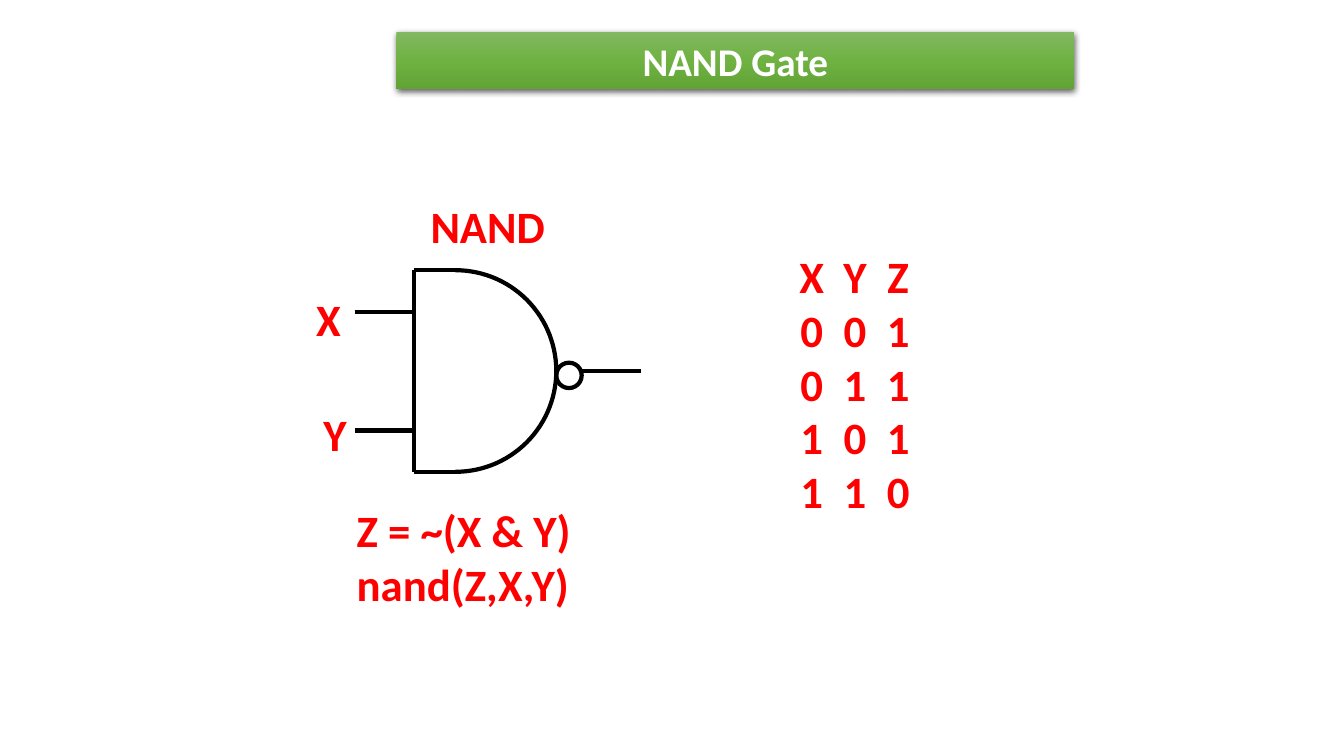
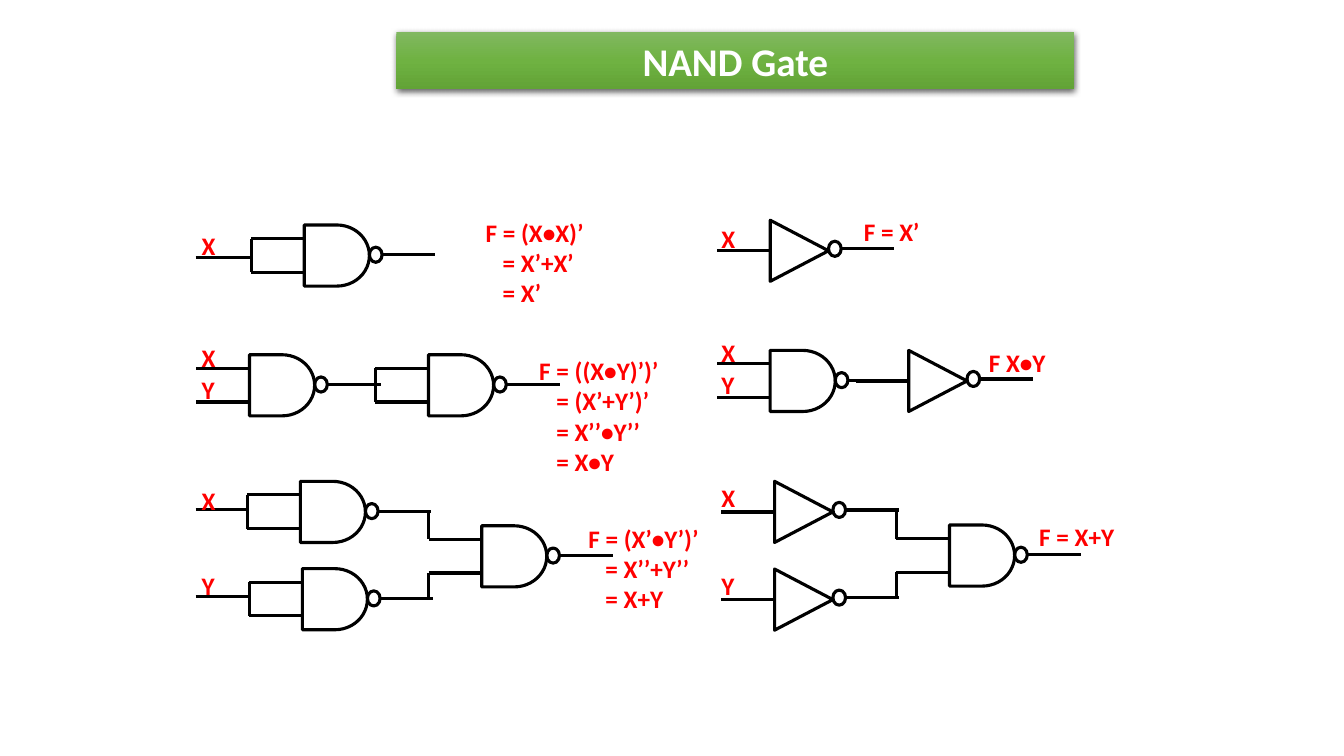
"""Builds two slides on the NAND gate and the circuits made from it."""
import math
from copy import deepcopy
from dataclasses import dataclass

from lxml import etree
from pptx import Presentation
from pptx import util as u
from pptx.dml.color import RGBColor
from pptx.enum import shapes, text
from pptx.oxml import ns


@dataclass(frozen=True)
class Theme:
    """Colours, type sizes and line weights."""
    font: str = "Calibri"
    accent: str = "FF0000"
    ink: str = "000000"
    light: str = "FFFFFF"
    band: tuple = ("81B861", "6FB242", "62A336")
    title: int = 28
    large: int = 32
    small: int = 18
    bold_line: float = 3
    line: float = 2.25
    tie_line: float = 2


@dataclass(frozen=True)
class Part:
    """Measures of the small circuit symbols in centimetres."""
    width: float = 1.64
    height: float = 1.54
    lead: float = 1.34
    pins: tuple = (0.34, 1.19)
    middle: float = 0.75
    triangle: float = 1.47
    triangle_entry: float = 0.77
    triangle_exit: float = 0.72
    bubble_width: float = 0.32
    bubble_height: float = 0.38
    feed_start: float = 4.93


THEME = Theme()
PART = Part()
SHAPE = shapes.MSO_SHAPE


def add_effects(element):
    """Add an empty effect list to a drawing element and return it."""
    return etree.SubElement(element.spPr, ns.qn("a:effectLst"))


def format_text(para, size, colour):
    """Give every run of a paragraph the bold deck font."""
    for span in para.runs:
        span.font.name = THEME.font
        span.font.size = u.Pt(size)
        span.font.bold = True
        span.font.color.rgb = RGBColor.from_string(colour)


def add_title(page, caption):
    """Draw the green title band with its soft shadow."""
    band = page.shapes.add_shape(SHAPE.RECTANGLE, u.Cm(9.99), u.Cm(0.8), u.Cm(17.08), u.Cm(1.45))
    band.line.fill.background()
    band.fill.gradient()
    band.fill.gradient_angle = 270
    stops = band._element.spPr.find(ns.qn("a:gradFill")).find(ns.qn("a:gsLst"))
    stops.append(deepcopy(stops[0]))
    for index, (stop, colour) in enumerate(zip(band.fill.gradient_stops, THEME.band)):
        stop.position = index / 2
        stop.color.rgb = RGBColor.from_string(colour)
    shadow = etree.SubElement(
        add_effects(band._element), ns.qn("a:outerShdw"), blurRad=str(u.Pt(4.5)),
        dist=str(u.Pt(1.5)), dir="5400000", algn="ctr", rotWithShape="0")
    tint = etree.SubElement(shadow, ns.qn("a:srgbClr"), val=THEME.ink)
    etree.SubElement(tint, ns.qn("a:alpha"), val="63000")
    frame = band.text_frame
    frame.text = caption
    frame.vertical_anchor = text.MSO_ANCHOR.MIDDLE
    frame.paragraphs[0].alignment = text.PP_ALIGN.CENTER
    format_text(frame.paragraphs[0], THEME.title, THEME.light)


def add_label(page, lines, left, top, width, size, indent=0):
    """Write red lines, with those after the first indented."""
    height = len(lines) * size * 0.043 + 0.25
    box = page.shapes.add_textbox(u.Cm(left), u.Cm(top), u.Cm(width), u.Cm(height))
    frame = box.text_frame
    frame.word_wrap = True
    frame.text = "\n".join(lines)
    for index, para in enumerate(frame.paragraphs):
        if index and indent:
            para._p.get_or_add_pPr().set("marL", str(u.Cm(indent)))
        format_text(para, size, THEME.accent)


def add_line(page, start, end, weight=THEME.line):
    """Draw a straight black wire between two points."""
    points = [u.Cm(value) for value in (*start, *end)]
    wire = page.shapes.add_connector(shapes.MSO_CONNECTOR.STRAIGHT, *points)
    wire.line.color.rgb = RGBColor.from_string(THEME.ink)
    wire.line.width = u.Pt(weight)
    add_effects(wire._element)


def outline(shape, weight):
    """Leave a shape hollow with a black outline."""
    shape.shadow.inherit = False
    shape.fill.background()
    shape.line.color.rgb = RGBColor.from_string(THEME.ink)
    shape.line.width = u.Pt(weight)


def add_symbol(page, kind, left, top, width, height, weight=THEME.line):
    """Add a hollow preset shape."""
    shape = page.shapes.add_shape(kind, u.Cm(left), u.Cm(top), u.Cm(width), u.Cm(height))
    outline(shape, weight)
    return shape


def add_output(page, left, middle):
    """Draw the inverting bubble and the wire leaving it."""
    add_symbol(page, SHAPE.OVAL, left, middle - PART.bubble_height / 2,
               PART.bubble_width, PART.bubble_height)
    start = left + PART.bubble_width
    add_line(page, (start, middle), (start + PART.lead, middle))


def add_nand(page, left, top):
    """Draw a small NAND gate with its wires."""
    add_symbol(page, SHAPE.FLOWCHART_DELAY, left, top, PART.width, PART.height)
    for pin in PART.pins:
        add_line(page, (left - PART.lead, top + pin), (left, top + pin))
    add_output(page, left + PART.width, top + PART.middle)


def add_tied_nand(page, left, top, feed=None):
    """Draw a NAND gate whose inputs are tied, with a feed wire at a given drop."""
    add_nand(page, left, top)
    tie = left - PART.lead
    upper, lower = (top + pin for pin in PART.pins)
    add_line(page, (tie, upper), (tie, lower), THEME.tie_line)
    if feed is not None:
        add_line(page, (PART.feed_start, top + feed), (tie, top + feed))


def add_inverter(page, left, top):
    """Draw a triangle inverter with its wires."""
    shift = (PART.height - PART.triangle) / 2
    body = add_symbol(page, SHAPE.ISOSCELES_TRIANGLE, left - shift, top + shift,
                      PART.height, PART.triangle)
    body.rotation = 90
    entry = top + PART.triangle_entry
    add_line(page, (left - PART.lead, entry), (left, entry))
    add_output(page, left + PART.triangle, top + PART.triangle_exit)


def add_joined_nand(page, left, top, sources):
    """Draw a NAND gate fed from two output heights."""
    add_nand(page, left, top)
    joint = left - PART.lead
    for source, pin in zip(sources, PART.pins):
        add_line(page, (joint, source), (joint, top + pin), THEME.tie_line)


def add_arc(page, centre_x, centre_y, radius, first):
    """Draw a quarter circle that begins at an angle in degrees."""
    angles = [math.radians(degree) for degree in range(first, first + 91, 3)]
    points = [(u.Cm(centre_x + radius * math.cos(angle)),
               u.Cm(centre_y + radius * math.sin(angle))) for angle in angles]
    builder = page.shapes.build_freeform(*points[0])
    builder.add_line_segments(points[1:], close=False)
    outline(builder.convert_to_shape(), THEME.bold_line)


def add_large_nand(page, left, top, straight, radius):
    """Draw the large NAND symbol with its wires."""
    centre_x, centre_y = left + straight, top + radius
    bottom = top + 2 * radius
    for first in (-90, 0):
        add_arc(page, centre_x, centre_y, radius, first)
    for edge in (top, bottom):
        add_line(page, (centre_x, edge), (left, edge), THEME.bold_line)
    add_line(page, (left, top), (left, bottom), THEME.bold_line)
    lead, bubble = 1.5, 0.64
    for height in (top + 1.06, top + 4.04):
        add_line(page, (left - lead, height), (left, height), THEME.bold_line)
    tip = centre_x + radius
    add_symbol(page, SHAPE.OVAL, tip, centre_y - 0.21, bubble, bubble, THEME.bold_line)
    start = tip + bubble
    add_line(page, (start, centre_y), (start + lead, centre_y), THEME.bold_line)


def add_truth_table(page, rows, left, top, column, row_height):
    """Add a plain table of centred red values."""
    count = len(rows[0])
    frame = page.shapes.add_table(len(rows), count, u.Cm(left), u.Cm(top),
                                  u.Cm(column * count), u.Cm(row_height * len(rows)))
    table = frame.table
    table.first_row = table.horz_banding = False
    for row, values in zip(table.rows, rows):
        for cell, value in zip(row.cells, values):
            cell.fill.background()
            cell.margin_left = cell.margin_right = 0
            cell.margin_top = cell.margin_bottom = 0
            cell.text_frame.text = value
            para = cell.text_frame.paragraphs[0]
            para.alignment = text.PP_ALIGN.CENTER
            format_text(para, THEME.large, THEME.accent)


def draw_gate_page(page):
    """Show the gate, its formula and its truth table."""
    for lines, left, top, width in (
            (["NAND"], 10.6, 4.88, 4), (["X"], 7.72, 7.23, 1.2), (["Y"], 7.9, 10.13, 1.2),
            (["Z = ~(X & Y)", "nand(Z,X,Y)"], 8.74, 12.55, 6.6)):
        add_label(page, lines, left, top, width, THEME.large)
    add_large_nand(page, 10.44, 6.81, 1.04, 2.54)
    add_truth_table(page, ("XYZ", "001", "011", "101", "110"), 19.91, 6.32, 1.09, 1.35)


def draw_circuit_page(page):
    """Show NOT, AND and OR built from NAND gates."""
    add_tied_nand(page, 7.67, 5.67, feed=0.82)
    add_nand(page, 6.29, 8.94)
    add_tied_nand(page, 10.8, 8.94)
    left_tops, right_tops = (12.13, 14.33), (12.13, 14.34)
    for left, top in zip((7.57, 7.62), left_tops):
        add_tied_nand(page, left, top, feed=0.71)
    add_joined_nand(page, 12.14, 13.25, [top + PART.middle for top in left_tops])

    add_inverter(page, 19.41, 5.55)
    add_nand(page, 19.41, 8.83)
    add_inverter(page, 22.9, 8.83)
    for top in right_tops:
        add_inverter(page, 19.52, top)
    add_joined_nand(page, 23.93, 13.23, [top + PART.triangle_exit for top in right_tops])

    for left, tops in ((4.83, (5.68, 8.51, 9.3, 12.1, 14.25)),
                       (17.93, (5.51, 8.37, 9.19, 12.04, 14.25))):
        for name, top in zip("XXYXY", tops):
            add_label(page, [name], left, top, 1.1, THEME.small)

    for lines, left, top, width in (
            (["F = (X•X)’", "= X’+X’", "= X’"], 11.99, 5.35, 5),
            (["F = ((X•Y)’)’", "= (X’+Y’)’", "= X’’•Y’’", "= X•Y"], 13.34, 8.83, 5),
            (["F = (X’•Y’)’", "= X’’+Y’’", "= X+Y"], 14.58, 13.06, 5),
            (["F = X’"], 21.52, 5.33, 3.2),
            (["F X•Y"], 24.67, 8.64, 3.2),
            (["F = X+Y"], 25.94, 13, 3.2)):
        add_label(page, lines, left, top, width, THEME.small, indent=0.43)


def main():
    """Build and save the deck."""
    deck = Presentation()
    deck.slide_width, deck.slide_height = u.Cm(33.87), u.Cm(19.05)
    for draw in (draw_gate_page, draw_circuit_page):
        page = deck.slides.add_slide(deck.slide_layouts[6])
        add_title(page, "NAND Gate")
        draw(page)
    deck.save("out.pptx")


if __name__ == "__main__":
    main()
